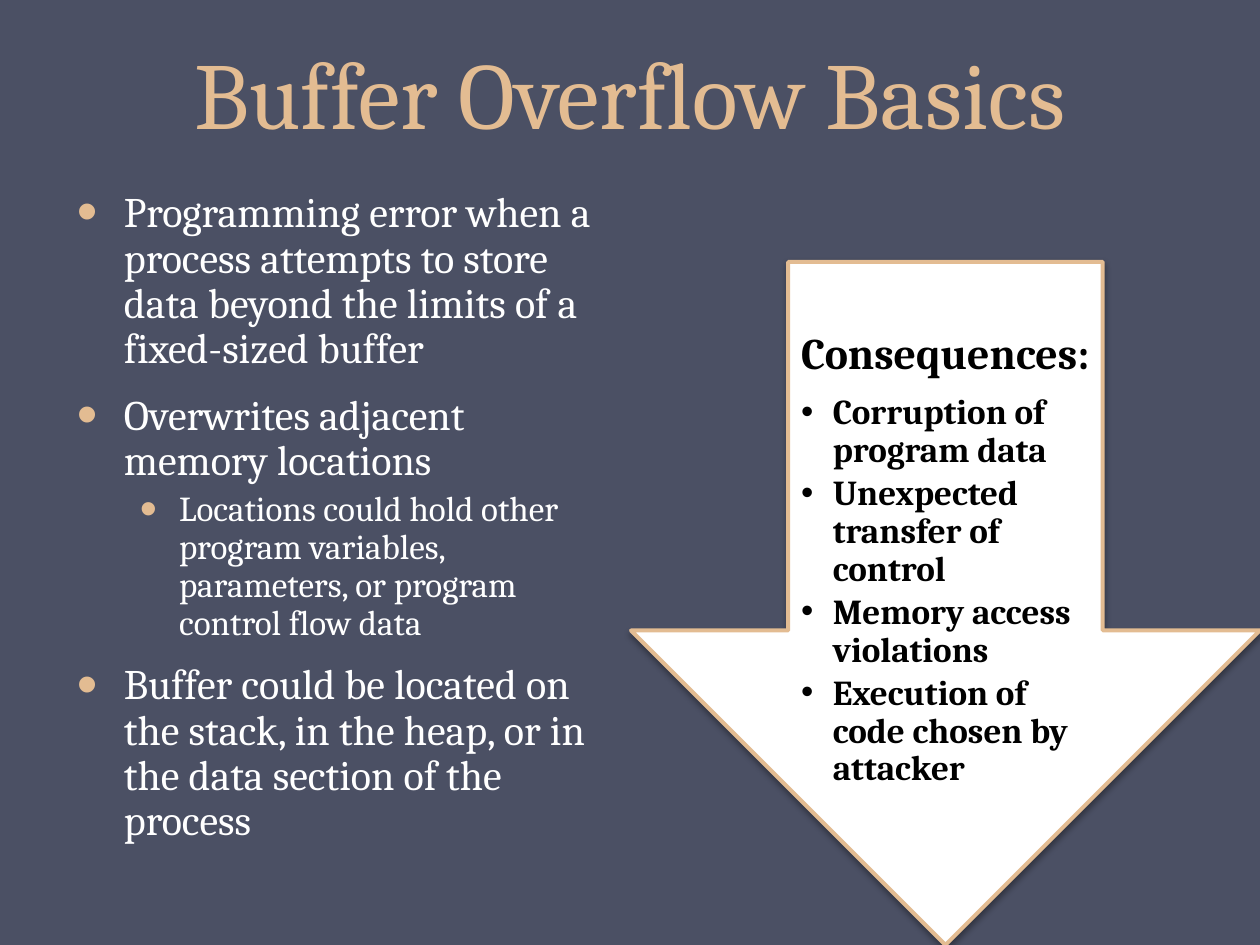
from dataclasses import dataclass

from lxml import etree
from pptx import Presentation, util as u
from pptx.dml.color import RGBColor
from pptx.enum import shapes, text
from pptx.oxml import ns

FONT = "Cambria"
SAND, WHITE, BLACK, SLATE = "E3BC92", "FFFFFF", "000000", "4B5064"


@dataclass
class Para:
    text: str
    size: float
    color: str = WHITE
    bold: bool = False
    align: text.PP_ALIGN = text.PP_ALIGN.LEFT
    spacing: float | u.Length = 0.9
    before: float = 0
    after: float = 0
    margin: float = 0
    hang: float = 0
    bullet: str = ""
    bullet_pct: int = 100


def rgb(value: str) -> RGBColor:
    return RGBColor.from_string(value)


def child(parent, tag: str, **attrs):
    return etree.SubElement(parent, ns.qn(tag), attrs)


def add_para(p, item: Para) -> None:
    p.alignment, p.line_spacing = item.align, item.spacing
    p.space_before, p.space_after = u.Pt(item.before), u.Pt(item.after)
    r = p.add_run()
    r.text = item.text
    r.font.name, r.font.size, r.font.bold = FONT, u.Pt(item.size), item.bold
    r.font.color.rgb = rgb(item.color)
    if item.bullet:
        pPr = p._p.get_or_add_pPr()
        pPr.set("marL", str(u.Cm(item.margin)))
        pPr.set("indent", str(-u.Cm(item.hang)))
        child(child(pPr, "a:buClr"), "a:srgbClr", val=item.bullet)
        child(pPr, "a:buSzPct", val=str(item.bullet_pct * 1000))
        child(pPr, "a:buFont", typeface="Arial")
        child(pPr, "a:buChar", char="•")


def add_text(s, box: tuple, items: list[Para], *, anchor=text.MSO_ANCHOR.TOP,
             insets: tuple = (0.25, 0.13, 0.25, 0.13)) -> None:
    tf = s.shapes.add_textbox(*map(u.Cm, box)).text_frame
    tf.word_wrap, tf.vertical_anchor = True, anchor
    tf.margin_left, tf.margin_top, tf.margin_right, tf.margin_bottom = map(u.Cm, insets)
    for i, item in enumerate(items):
        add_para(tf.add_paragraph() if i else tf.paragraphs[0], item)


def add_arrow(s, box: tuple) -> None:
    sp = s.shapes.add_shape(shapes.MSO_SHAPE.DOWN_ARROW, *map(u.Cm, box))
    sp.fill.solid()
    sp.fill.fore_color.rgb = rgb(WHITE)
    sp.line.color.rgb, sp.line.width = rgb(SAND), u.Pt(2.25)
    sp.shadow.inherit = False
    effects = sp._element.spPr.find(ns.qn("a:effectLst"))
    shadow = child(effects, "a:outerShdw", blurRad=str(u.Pt(3.1)),
                   dist=str(u.Pt(1.8)), dir="5400000", rotWithShape="0")
    child(child(shadow, "a:srgbClr", val=BLACK), "a:alpha", val="35000")


def main_point(wording: str) -> Para:
    return Para(wording, 24, before=12, margin=0.95, hang=0.95, bullet=SAND, bullet_pct=140)


def sub_point(wording: str) -> Para:
    return Para(wording, 20, before=4, margin=2.06, hang=0.79, bullet=SAND, bullet_pct=140)


def consequence(wording: str) -> Para:
    return Para(wording, 20, BLACK, True, after=3, margin=0.64, hang=0.64, bullet=BLACK)


def main() -> None:
    prs = Presentation()
    prs.slide_width, prs.slide_height = u.Cm(25.4), u.Cm(19.05)
    s = prs.slides.add_slide(prs.slide_layouts[6])
    s.background.fill.solid()
    s.background.fill.fore_color.rgb = rgb(SLATE)

    title = Para("Buffer Overflow Basics", 54, SAND, align=text.PP_ALIGN.CENTER, spacing=u.Pt(58))
    add_text(s, (1.27, 0, 22.86, 3.12), [title], anchor=text.MSO_ANCHOR.BOTTOM)
    add_text(s, (1.3, 3.73, 10.92, 14.63), [
        main_point("Programming error when a process attempts to store data "
                   "beyond the limits of a fixed-sized buffer"),
        main_point("Overwrites adjacent memory locations"),
        sub_point("Locations could hold other program variables, parameters, "
                  "or program control flow data"),
        main_point("Buffer could be located on the stack, in the heap, "
                   "or in the data section of the process"),
    ])

    add_arrow(s, (12.72, 5.28, 12.68, 13.77))
    effects = ["Corruption of program data", "Unexpected transfer of control",
               "Memory access violations", "Execution of code chosen by attacker"]
    add_text(s, (15.67, 5.28, 7.11, 12.5),
             [Para("Consequences:", 25, BLACK, True, after=9), *map(consequence, effects)],
             anchor=text.MSO_ANCHOR.MIDDLE, insets=(0.48, 0, 0.48, 0.48))
    prs.save("out.pptx")


if __name__ == "__main__":
    main()
